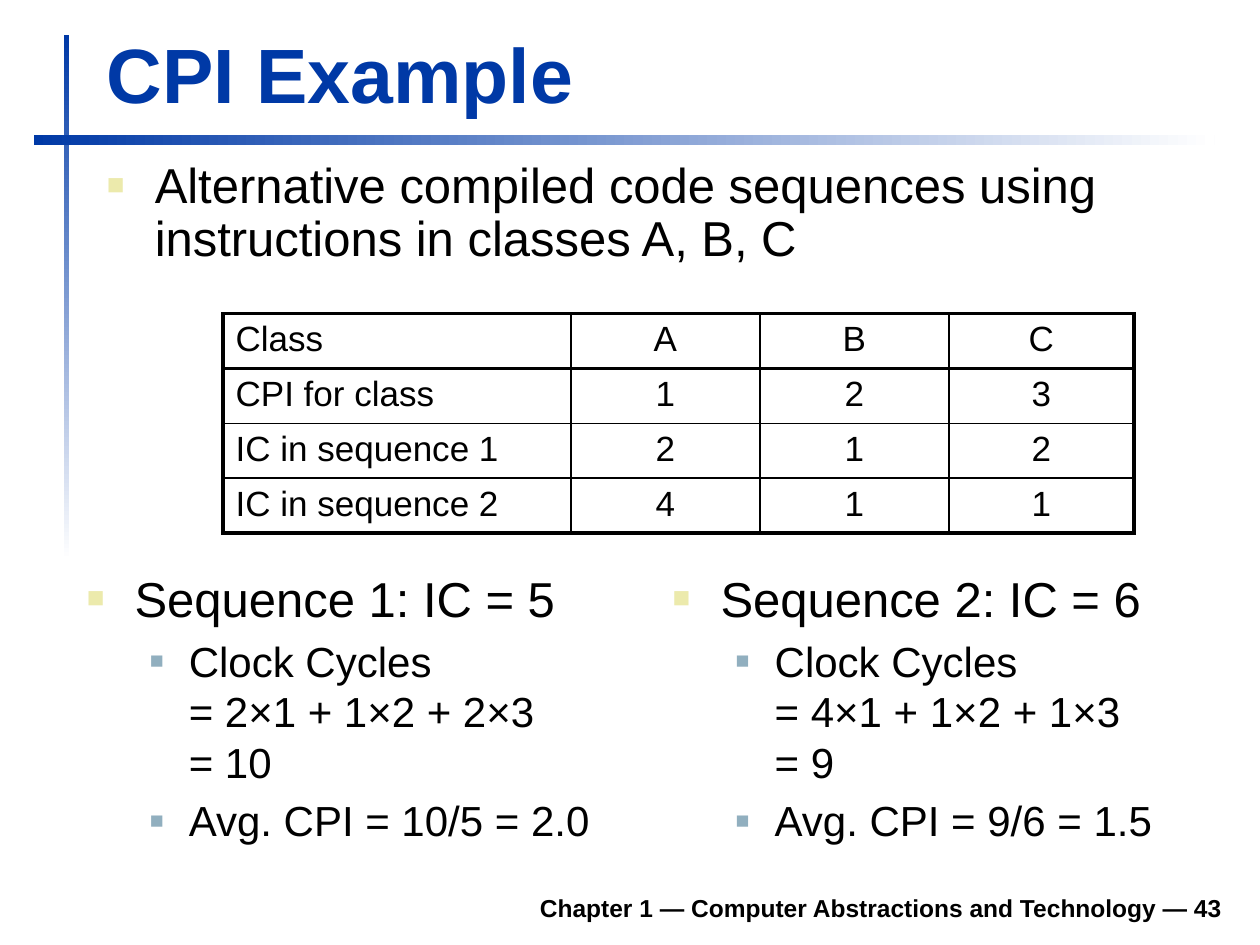
from lxml import etree
from pptx import Presentation
from pptx.dml.color import RGBColor
from pptx.enum import shapes, text
from pptx.oxml.ns import qn
from pptx.util import Inches, Pt

# Content
TITLE = "CPI Example"
FOOTER = "Chapter 1 — Computer Abstractions and Technology — 43"
INTRO = "Alternative compiled code sequences using instructions in classes A, B, C"
ROWS = [
    ("Class", "A", "B", "C"),
    ("CPI for class", "1", "2", "3"),
    ("IC in sequence 1", "2", "1", "2"),
    ("IC in sequence 2", "4", "1", "1"),
]
SEQUENCES = [
    ("Sequence 1: IC = 5", "Clock Cycles\v= 2×1 + 1×2 + 2×3\v= 10", "Avg. CPI = 10/5 = 2.0"),
    ("Sequence 2: IC = 6", "Clock Cycles\v= 4×1 + 1×2 + 1×3\v= 9", "Avg. CPI = 9/6 = 1.5"),
]

# Style
FONT = "Arial"
BLUE = RGBColor(0x00, 0x39, 0xA6)
WHITE = RGBColor(0xFF, 0xFF, 0xFF)
BLACK = RGBColor(0x00, 0x00, 0x00)
CREAM = RGBColor(0xEC, 0xEA, 0xAC)
STEEL = RGBColor(0x91, 0xAF, 0xBF)
THICK, THIN = 2.25, 1
# Per level: text size, left margin, hanging indent, bullet colour, bullet percent
LEVELS = [(28, 0.38, 0.38, CREAM, 60), (24, 0.81, 0.31, STEEL, 55)]

# Layout
COLUMN_WIDTHS = (2.76, 1.5, 1.5, 1.47)
ROW_HEIGHT = 0.435
TABLE_LEFT, TABLE_TOP = 1.77, 2.49
SEQ_LEFT, SEQ_TOP, SEQ_STEP = 0.59, 4.46, 4.65

prs = Presentation()
prs.slide_width, prs.slide_height = Inches(10), Inches(7.5)
s = prs.slides.add_slide(prs.slide_layouts[6])


def write(p, words, size, color=BLACK, bold=False, align=text.PP_ALIGN.LEFT):
    p.text = words
    p.alignment = align
    for r in p.runs:
        r.font.name, r.font.size, r.font.bold = FONT, Pt(size), bold
        r.font.color.rgb = color


def add_box(*at, anchor=text.MSO_ANCHOR.TOP):
    tf = s.shapes.add_textbox(*map(Inches, at)).text_frame
    tf.word_wrap = True
    tf.vertical_anchor = anchor
    return tf


def add_bullets(tf, items, spacing=None):
    for i, (level, words) in enumerate(items):
        size, margin, hang, color, percent = LEVELS[level]
        p = tf.paragraphs[0] if i == 0 else tf.add_paragraph()
        p.level = level
        p.line_spacing = spacing
        if i:
            p.space_before = Pt(round(size * 0.2, 1))
        pPr = p._p.get_or_add_pPr()
        pPr.set("marL", str(Inches(margin)))
        pPr.set("indent", str(-Inches(hang)))
        clr = etree.SubElement(pPr, qn("a:buClr"))
        etree.SubElement(clr, qn("a:srgbClr"), val=str(color))
        etree.SubElement(pPr, qn("a:buSzPct"), val=str(percent * 1000))
        etree.SubElement(pPr, qn("a:buFont"), typeface=FONT)
        etree.SubElement(pPr, qn("a:buChar"), char="■")
        write(p, words, size)


def set_borders(cell, **widths):
    tcPr = cell._tc.get_or_add_tcPr()
    for i, side in enumerate("LRTB"):
        ln = etree.Element(qn("a:ln" + side), w=str(Pt(widths[side])))
        fill = etree.SubElement(ln, qn("a:solidFill"))
        etree.SubElement(fill, qn("a:srgbClr"), val=str(BLACK))
        tcPr.insert(i, ln)


# Fading bars
for at, angle in [((0.51, 0.28, 0.04, 4.17), 270), ((0.27, 1.07, 9.37, 0.08), 0)]:
    sp = s.shapes.add_shape(shapes.MSO_SHAPE.RECTANGLE, *map(Inches, at))
    sp.shadow.inherit = False
    sp.line.fill.background()
    sp.fill.gradient()
    sp.fill.gradient_angle = angle
    for stop, color, position in zip(sp.fill.gradient_stops, (BLUE, WHITE), (0, 1)):
        stop.color.rgb = color
        stop.position = position

# Footer, title and introduction
tf = add_box(1.85, 6.98, 7.95, 0.39, anchor=text.MSO_ANCHOR.BOTTOM)
write(tf.paragraphs[0], FOOTER, 14, bold=True, align=text.PP_ALIGN.RIGHT)
tf = add_box(0.75, 0.16, 9.03, 0.83, anchor=text.MSO_ANCHOR.BOTTOM)
write(tf.paragraphs[0], TITLE, 44, color=BLUE, bold=True)
add_bullets(add_box(0.75, 1.23, 9.05, 1.09), [(0, INTRO)], spacing=0.9)

# Table: thick frame, thick rule below the header, thin rules elsewhere
last_row, last_col = len(ROWS) - 1, len(COLUMN_WIDTHS) - 1
table = s.shapes.add_table(
    len(ROWS), len(COLUMN_WIDTHS), Inches(TABLE_LEFT), Inches(TABLE_TOP),
    Inches(sum(COLUMN_WIDTHS)), Inches(ROW_HEIGHT * len(ROWS))).table
table.first_row = table.horz_banding = False
for column, width in zip(table.columns, COLUMN_WIDTHS):
    column.width = Inches(width)
for i, row in enumerate(ROWS):
    table.rows[i].height = Inches(ROW_HEIGHT)
    for j, words in enumerate(row):
        cell = table.cell(i, j)
        cell.fill.background()
        write(cell.text_frame.paragraphs[0], words, 20,
              align=text.PP_ALIGN.CENTER if j else text.PP_ALIGN.LEFT)
        set_borders(cell,
                    L=THICK if j == 0 else THIN,
                    R=THICK if j == last_col else THIN,
                    T=THICK if i <= 1 else THIN,
                    B=THICK if i in (0, last_row) else THIN)

# Sequence columns
for i, (heading, *details) in enumerate(SEQUENCES):
    tf = add_box(SEQ_LEFT + i * SEQ_STEP, SEQ_TOP, 4.25, 2.28)
    add_bullets(tf, [(0, heading)] + [(1, words) for words in details])

prs.save("out.pptx")
